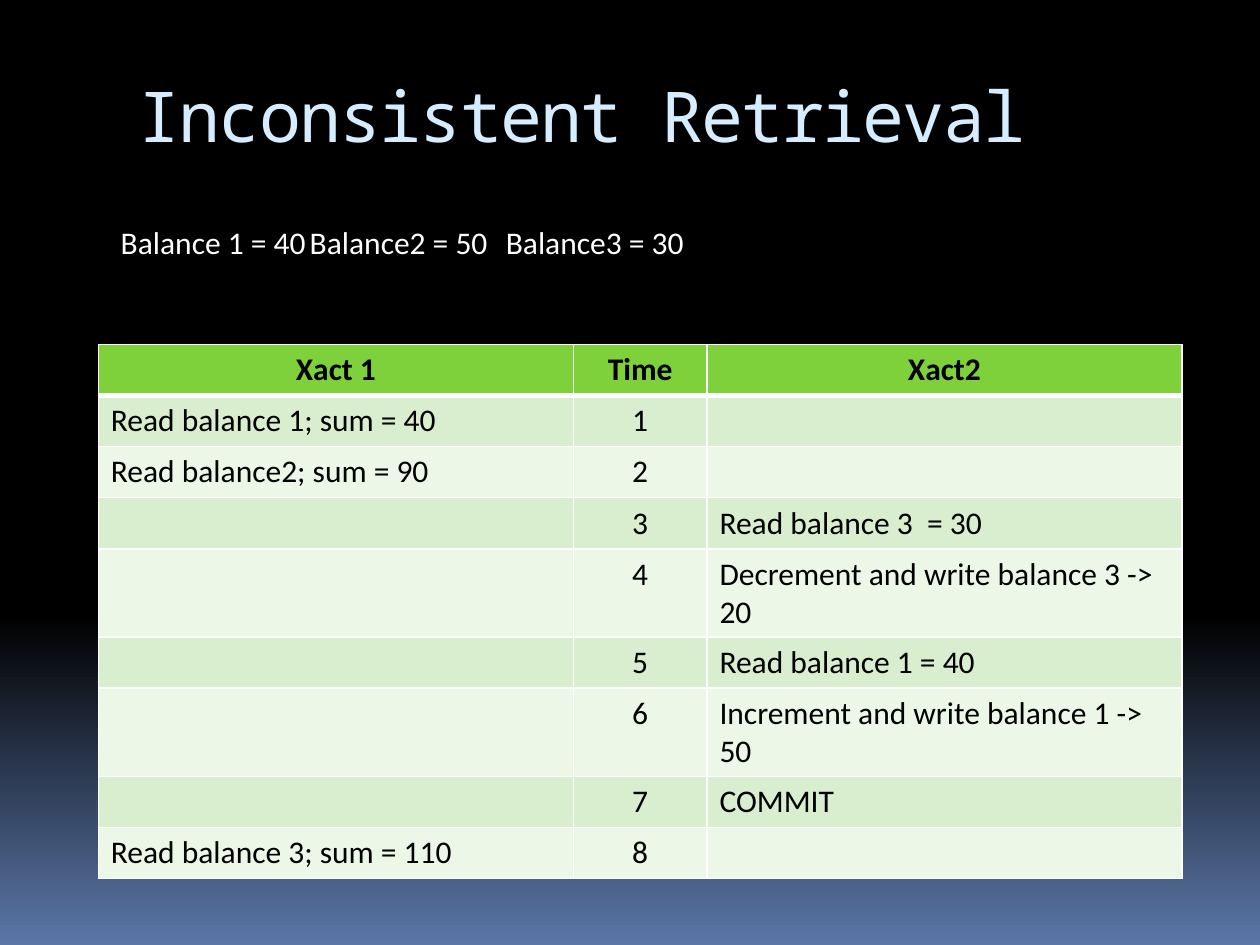
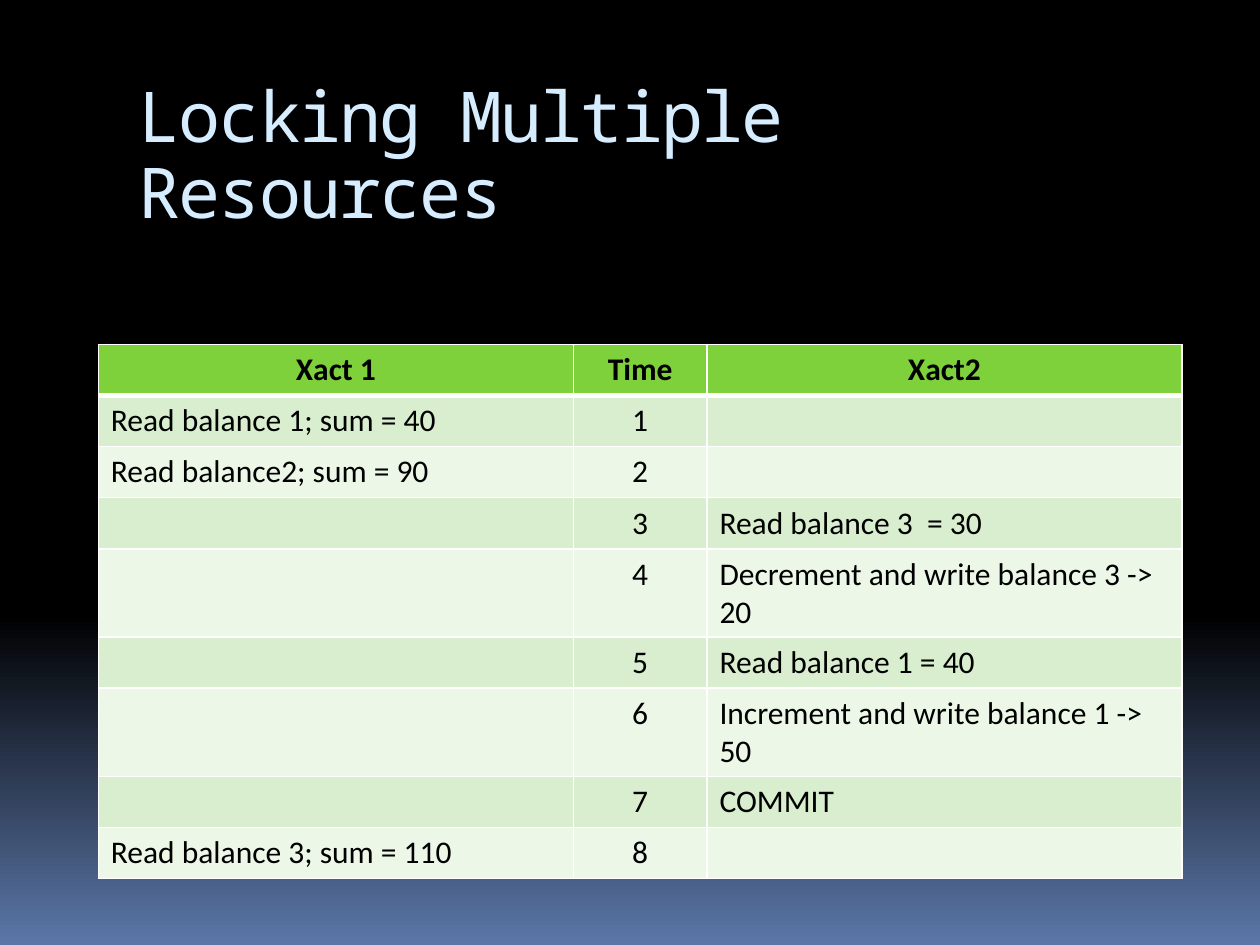
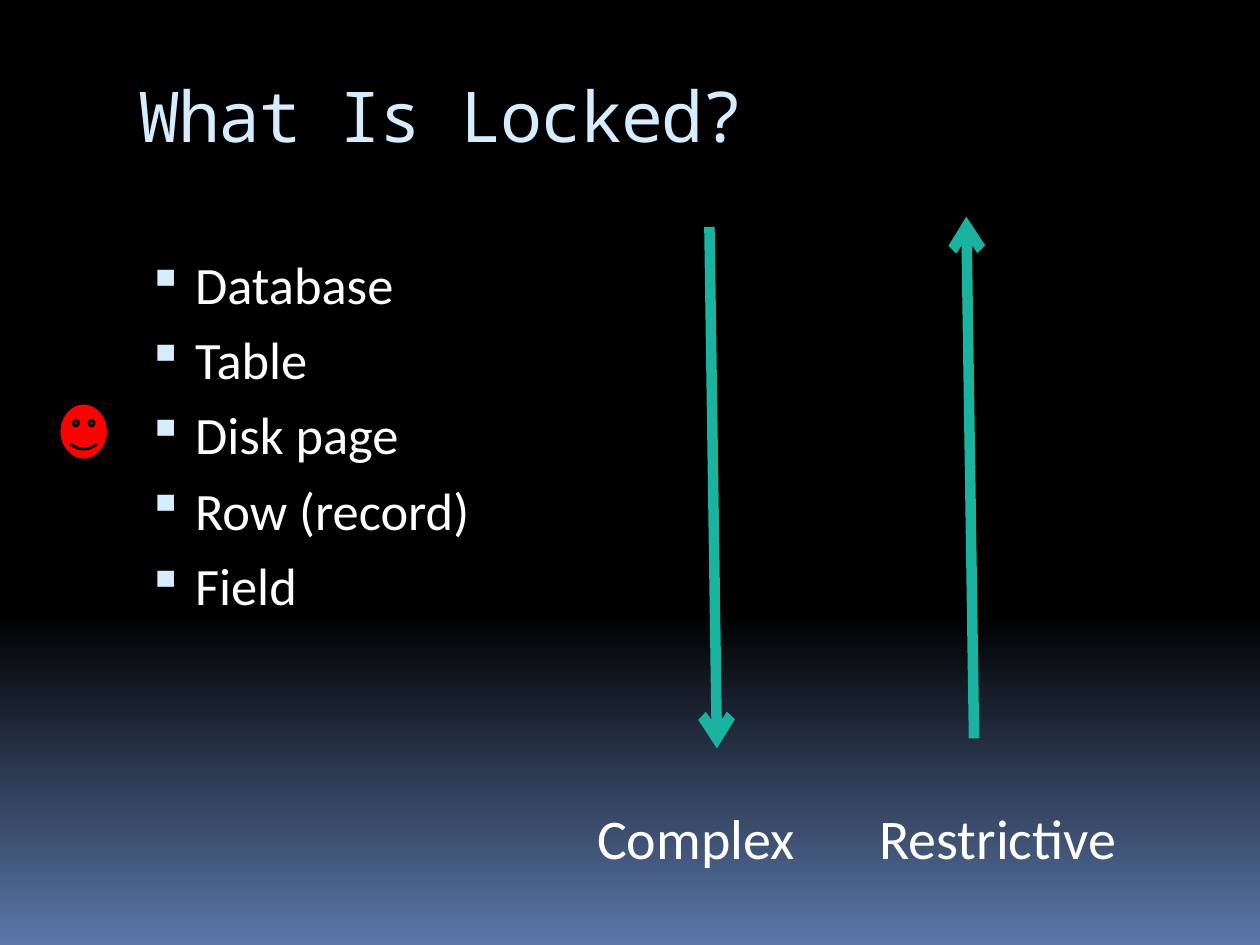
from copy import deepcopy

from pptx import Presentation
from pptx.dml.color import RGBColor
from pptx.enum.shapes import MSO_CONNECTOR as Link, MSO_SHAPE as Shape
from pptx.enum.text import PP_ALIGN as Align
from pptx.oxml.ns import qn
from pptx.oxml.xmlchemy import OxmlElement as Node
from pptx.util import Pt

WHITE, BLACK, PALE, TEAL, RED = "FFFFFF", "000000", "D6ECFF", "1AB39F", "FF0000"
HEAD, BANDS = "7FD13B", ("D8EECE", "ECF7E8")
STOPS = ((0, BLACK), (0.65, BLACK), (1, "5B77A8"))
TITLE = {"name": "Noto Sans Mono", "size": Pt(40)}
SMALL = {"name": "Calibri", "size": Pt(18), "bold": False}
BOLD = {**SMALL, "bold": True}
BODY = {"name": "Calibri", "size": Pt(30)}
LABEL = {"name": "Calibri", "size": Pt(32)}
WIDTHS = (271.5, 76.3, 271.5)
ROW = 29.2
STEPS = (
    ("Xact 1", "Time", "Xact2"),
    ("Read balance 1; sum = 40", "1", ""),
    ("Read balance2; sum = 90", "2", ""),
    ("", "3", "Read balance 3  = 30"),
    ("", "4", "Decrement and write balance 3 -> 20"),
    ("", "5", "Read balance 1 = 40"),
    ("", "6", "Increment and write balance 1 -> 50"),
    ("", "7", "COMMIT"),
    ("Read balance 3; sum = 110", "8", ""),
)


def tint(color, code):
    """Set a colour object from a hex string."""
    color.rgb = RGBColor.from_string(code)


def paint(fill, code):
    """Make a fill solid in one colour."""
    fill.solid()
    tint(fill.fore_color, code)


def assign(item, form):
    """Set attributes of an item from a dict."""
    for key, value in form.items():
        setattr(item, key, value)


def add_node(base, tag, **attrs):
    """Append an XML child with attributes and return it."""
    node = Node(tag)
    for key, value in attrs.items():
        node.set(key, str(value))
    base.append(node)
    return node


def add_run(para, text, form, code):
    """Add one formatted run to a paragraph."""
    run = para.add_run()
    run.text = text
    assign(run.font, form)
    tint(run.font.color, code)
    return run


def add_text(slide, box, lines, form, code=WHITE, wrap=True):
    """Add a text box with one paragraph per line."""
    frame = slide.shapes.add_textbox(*map(Pt, box)).text_frame
    frame.word_wrap = wrap
    for i, line in enumerate(lines):
        para = frame.add_paragraph() if i else frame.paragraphs[0]
        add_run(para, line, form, code)
    return frame


def add_title(slide, text):
    """Add the slide title with tight letters and lines."""
    frame = add_text(slide, (72, 40.3, 612, 72), [text], TITLE, PALE)
    assign(frame, {"margin_top": Pt(6.6), "margin_right": Pt(14.4)})
    para = frame.paragraphs[0]
    para.line_spacing = 0.9
    para.runs[0].font._element.set("spc", "-100")


def add_list(slide, box, lines):
    """Add a list with square bullets."""
    for para in add_text(slide, box, lines, BODY).paragraphs:
        para.space_before = Pt(7)
        props = para._p.get_or_add_pPr()
        props.set("marL", str(Pt(32.4)))
        props.set("indent", str(Pt(-27.4)))
        color = add_node(props, "a:buClr")
        add_node(color, "a:srgbClr", val=PALE)
        add_node(props, "a:buSzPct", val=95000)
        add_node(props, "a:buChar", char="▪")


def add_edges(cell, base):
    """Draw white cell borders; base is the lower width."""
    props = cell._tc.get_or_add_tcPr()
    for i, (side, width) in enumerate(zip("LRTB", (1, 1, 1, base))):
        edge = Node(f"a:ln{side}")
        edge.set("w", str(Pt(width)))
        add_node(add_node(edge, "a:solidFill"), "a:srgbClr", val=WHITE)
        props.insert(i, edge)


def add_grid(slide):
    """Add the table of both transactions over time."""
    size = map(Pt, (56.2, 196.8, sum(WIDTHS), ROW * len(STEPS)))
    table = slide.shapes.add_table(len(STEPS), len(WIDTHS), *size).table
    assign(table, {"first_row": False, "horz_banding": False})
    for col, width in zip(table.columns, WIDTHS):
        col.width = Pt(width)
    for i, (row, texts) in enumerate(zip(table.rows, STEPS)):
        row.height = Pt(ROW)
        for j, (cell, text) in enumerate(zip(row.cells, texts)):
            paint(cell.fill, BANDS[(i - 1) % 2] if i else HEAD)
            add_edges(cell, 1 if i else 3)
            para = cell.text_frame.paragraphs[0]
            if i == 0 or j == 1:
                para.alignment = Align.CENTER
            if text:
                add_run(para, text, SMALL if i else BOLD, BLACK)


def add_arrow(slide, ends):
    """Add a thick arrow from the first point to the second."""
    arrow = slide.shapes.add_connector(Link.STRAIGHT, *map(Pt, ends))
    paint(arrow.line.fill, TEAL)
    arrow.line.width = Pt(6)
    add_node(arrow.line._get_or_add_ln(), "a:tailEnd", type="arrow")
    add_node(arrow._element.spPr, "a:effectLst")


def add_smile(slide, box):
    """Add the red smiley marker."""
    face = slide.shapes.add_shape(Shape.SMILEY_FACE, *map(Pt, box))
    face.shadow.inherit = False
    paint(face.fill, RED)
    paint(face.line.fill, BLACK)
    face.line.width = Pt(1.5)


def set_back(master):
    """Give the master the shared night gradient."""
    fill = master.background.fill
    fill.gradient()
    fill.gradient_angle = 270
    stops = next(master.element.iter(qn("a:gsLst")))
    stops.append(deepcopy(stops[-1]))
    for stop, (place, code) in zip(fill.gradient_stops, STOPS):
        tint(stop.color, code)
        stop.position = place


def main():
    """Build and save the deck."""
    deck = Presentation()
    assign(deck, {"slide_width": Pt(720), "slide_height": Pt(540)})
    set_back(deck.slide_master)
    titles = ("Inconsistent Retrieval", "Locking Multiple Resources",
              "What Is Locked?")
    slides = [deck.slides.add_slide(deck.slide_layouts[6]) for _ in titles]
    for slide, title in zip(slides, titles):
        add_title(slide, title)
    first, second, third = slides

    add_grid(first)
    add_text(first, (61.9, 123.8, 602, 29),
             ["Balance 1 = 40\tBalance2 = 50\t Balance3 = 30"], SMALL)

    add_grid(second)

    add_list(third, (72, 140.4, 612, 360),
             ["Database", "Table", "Disk page", "Row (record)", "Field"])
    add_arrow(third, (405.4, 129.6, 409.7, 427.7))
    add_arrow(third, (556.6, 421.9, 552.2, 123.8))
    add_text(third, (495.4, 455.8, 155.5, 46), ["Restrictive"], LABEL, wrap=False)
    add_text(third, (334.1, 455.8, 133.2, 46), ["Complex"], LABEL, wrap=False)
    add_smile(third, (33.8, 230.4, 28.1, 32.4))
    deck.save("out.pptx")


main()
